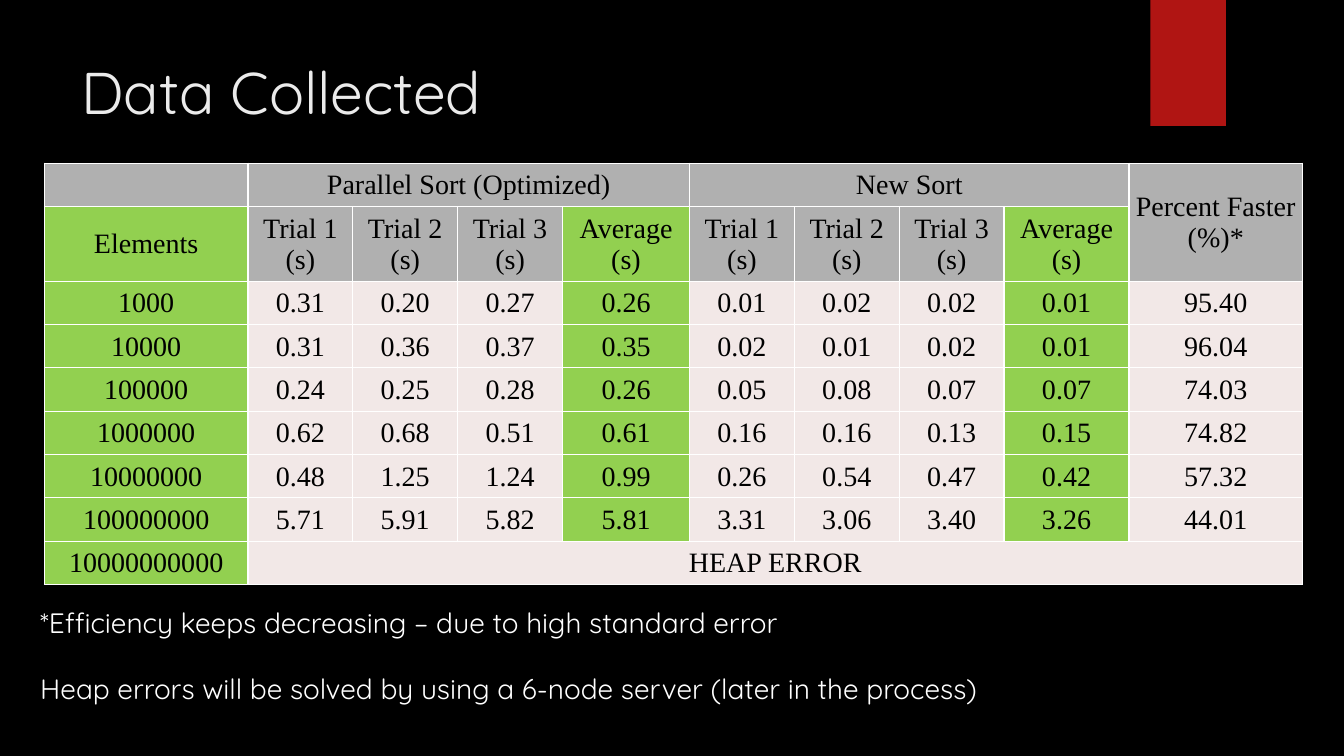
import pptx
import pptx.util
import pptx.dml.color
import pptx.enum.shapes
import pptx.enum.text
import pptx.oxml
import pptx.oxml.ns

Inches = pptx.util.Inches
Pt = pptx.util.Pt
RGBColor = pptx.dml.color.RGBColor
ANCHOR = pptx.enum.text.MSO_ANCHOR
ALIGN = pptx.enum.text.PP_ALIGN

BLACK = RGBColor(0x00, 0x00, 0x00)
WHITE = RGBColor(0xFF, 0xFF, 0xFF)
OFF_WHITE = RGBColor(0xEB, 0xEB, 0xEB)
RED = RGBColor(0xB0, 0x15, 0x13)
GRAY = RGBColor(0xB0, 0xB0, 0xB0)
GREEN = RGBColor(0x92, 0xD0, 0x50)
PINK = RGBColor(0xF2, 0xE8, 0xE7)

TRIALS = ["Trial 1 (s)", "Trial 2 (s)", "Trial 3 (s)", "Average (s)"]
RESULTS = [
    ["", "Parallel Sort (Optimized)", "", "", "", "New Sort", "", "", "", "Percent Faster (%)*"],
    ["Elements", *TRIALS, *TRIALS, ""],
    ["1000", "0.31", "0.20", "0.27", "0.26", "0.01", "0.02", "0.02", "0.01", "95.40"],
    ["10000", "0.31", "0.36", "0.37", "0.35", "0.02", "0.01", "0.02", "0.01", "96.04"],
    ["100000", "0.24", "0.25", "0.28", "0.26", "0.05", "0.08", "0.07", "0.07", "74.03"],
    ["1000000", "0.62", "0.68", "0.51", "0.61", "0.16", "0.16", "0.13", "0.15", "74.82"],
    ["10000000", "0.48", "1.25", "1.24", "0.99", "0.26", "0.54", "0.47", "0.42", "57.32"],
    ["100000000", "5.71", "5.91", "5.82", "5.81", "3.31", "3.06", "3.40", "3.26", "44.01"],
    ["10000000000", "HEAP ERROR", "", "", "", "", "", "", "", ""],
]
MERGES = [((0, 1), (0, 4)), ((0, 5), (0, 8)), ((0, 9), (1, 9)), ((8, 1), (8, 9))]
COLUMN_WIDTHS = [2.02, 1.04, 1.04, 1.04, 1.26, 1.04, 1.04, 1.04, 1.24, 1.72]
ROW_HEIGHTS = [0.43, 0.74] + [0.43] * 7
HIGHLIGHTED_COLUMNS = (0, 4, 8)
NOTES = [
    "*Efficiency keeps decreasing – due to high standard error",
    "Heap errors will be solved by using a 6-node server (later in the process)",
]


def style_runs(paragraph, font_name, size, color):
    for run in paragraph.runs:
        run.font.name = font_name
        run.font.size = Pt(size)
        run.font.color.rgb = color


def add_heading(slide, left, top, width, height):
    heading = slide.shapes.title
    heading.left, heading.top = Inches(left), Inches(top)
    heading.width, heading.height = Inches(width), Inches(height)
    frame = heading.text_frame
    frame.text = "Data Collected"
    frame.vertical_anchor = ANCHOR.TOP
    frame.paragraphs[0].alignment = ALIGN.LEFT
    style_runs(frame.paragraphs[0], "Quicksand", 42, OFF_WHITE)


def add_ribbon(slide, left, top, width, height):
    ribbon = slide.shapes.add_shape(
        pptx.enum.shapes.MSO_SHAPE.RECTANGLE,
        Inches(left), Inches(top), Inches(width), Inches(height))
    ribbon.shadow.inherit = False
    ribbon.fill.solid()
    ribbon.fill.fore_color.rgb = RED
    ribbon.line.fill.background()


def add_borders(cell):
    properties = cell._tc.get_or_add_tcPr()
    for side in ("lnL", "lnR", "lnT", "lnB"):
        properties.append(pptx.oxml.parse_xml(
            f'<a:{side} {pptx.oxml.ns.nsdecls("a")} w="12700"><a:solidFill>'
            f'<a:srgbClr val="{WHITE}"/></a:solidFill></a:{side}>'))


def cell_color(row, column):
    if row > 0 and column in HIGHLIGHTED_COLUMNS:
        return GREEN
    return GRAY if row < 2 else PINK


def fill_cell(cell, text, color):
    add_borders(cell)
    cell.fill.solid()
    cell.fill.fore_color.rgb = color
    cell.vertical_anchor = ANCHOR.MIDDLE
    cell.margin_left = cell.margin_right = cell.margin_top = Inches(0.01)
    cell.margin_bottom = 0
    cell.text_frame.text = text
    paragraph = cell.text_frame.paragraphs[0]
    paragraph.alignment = ALIGN.CENTER
    style_runs(paragraph, "Times New Roman", 20, BLACK)


def add_results(slide, left, top):
    results = slide.shapes.add_table(
        len(ROW_HEIGHTS), len(COLUMN_WIDTHS), Inches(left), Inches(top),
        Inches(sum(COLUMN_WIDTHS)), Inches(sum(ROW_HEIGHTS))).table
    results.first_row = results.horz_banding = False
    for column, width in zip(results.columns, COLUMN_WIDTHS):
        column.width = Inches(width)
    for row, height in zip(results.rows, ROW_HEIGHTS):
        row.height = Inches(height)
    for r, values in enumerate(RESULTS):
        for c, value in enumerate(values):
            color = PINK if r == 8 and c > 0 else cell_color(r, c)
            fill_cell(results.cell(r, c), value, color)
    for first, last in MERGES:
        results.cell(*first).merge(results.cell(*last))


def add_notes(slide, left, top, width, height):
    notes = slide.shapes.add_textbox(
        Inches(left), Inches(top), Inches(width), Inches(height)).text_frame
    notes.word_wrap = True
    notes.text = "\n".join(NOTES)
    for paragraph in notes.paragraphs:
        style_runs(paragraph, "Quicksand", 20, WHITE)
    notes.paragraphs[1].space_before = Pt(23)


def build_data_slide(deck):
    slide = deck.slides.add_slide(deck.slide_layouts[5])
    slide.background.fill.solid()
    slide.background.fill.fore_color.rgb = BLACK
    add_ribbon(slide, 11.41, 0, 0.75, 1.25)
    add_heading(slide, 0.71, 0.5, 10.29, 1.53)
    add_results(slide, 0.44, 1.62)
    add_notes(slide, 0.3, 5.96, 11.61, 1.41)


def main():
    deck = pptx.Presentation()
    deck.slide_width, deck.slide_height = Inches(13.33), Inches(7.5)
    build_data_slide(deck)
    deck.save("out.pptx")


if __name__ == "__main__":
    main()
